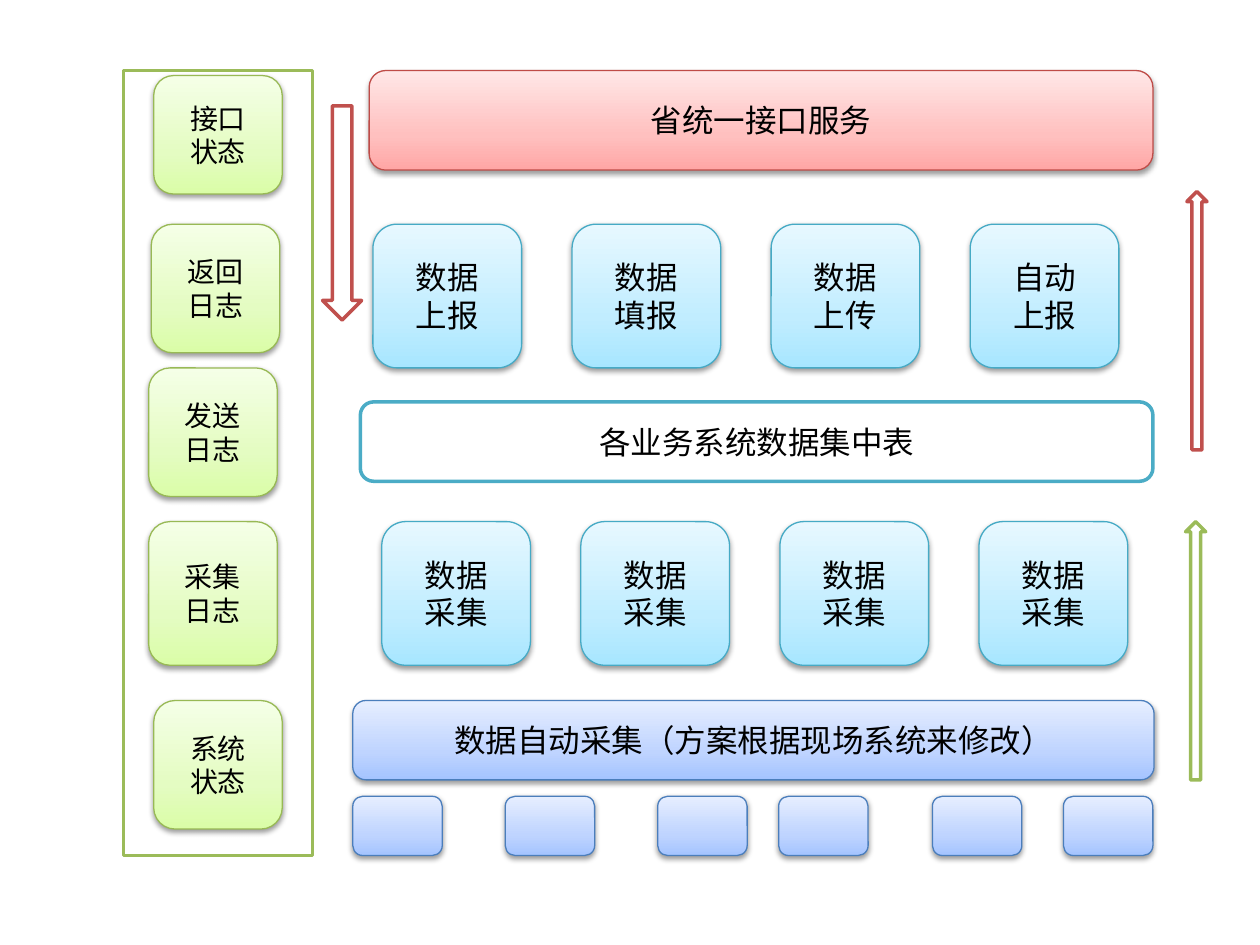
from dataclasses import dataclass
from pptx import Presentation
from pptx.dml.color import RGBColor
from pptx.enum.shapes import MSO_SHAPE
from pptx.enum.text import MSO_ANCHOR, PP_ALIGN
from pptx.oxml import parse_xml
from pptx.oxml.ns import nsdecls
from pptx.util import Inches, Pt


@dataclass(frozen=True)
class Theme:
    """Colours, type sizes and line widths; a tone is a line and three stops."""
    font: str = "Calibri"
    ink: str = "000000"
    paper: str = "FFFFFF"
    large: int = 18
    small: int = 16
    thin: float = 0.75
    thick: float = 2
    blue: tuple = ("4B7EBC", "A4C4FF", "BFD4FF", "E6EEFF")
    red: tuple = ("BF4C48", "FFA6A5", "FFC0BF", "FFE7E7")
    green: tuple = ("98B955", "DAFDA7", "E4FCC2", "F5FFE7")
    aqua: tuple = ("46AAC5", "A7E6FF", "C1EDFF", "E7F8FF")
    leaf: str = "9BBB59"
    brick: str = "C0504D"
    teal: str = "4BACC6"


theme = Theme()


def write(shape, text, size=theme.large, color=theme.ink, align=PP_ALIGN.CENTER):
    """Put text in a shape, one paragraph for each line."""
    frame = shape.text_frame
    frame.word_wrap = True
    frame.vertical_anchor = MSO_ANCHOR.MIDDLE
    frame.text = text
    for para in frame.paragraphs:
        para.alignment = align
        para.font.name = theme.font
        para.font.size = Pt(size)
        para.font.color.rgb = RGBColor.from_string(color)


def draw(slide, kind, box, color, width):
    """Add a shape with a coloured line and no shadow."""
    shape = slide.shapes.add_shape(kind, *(Inches(v) for v in box))
    shape.line.color.rgb = RGBColor.from_string(color)
    shape.line.width = Pt(width)
    shape.shadow.inherit = False
    return shape


def plain(slide, kind, box, color):
    """Add a white shape with a thick outline."""
    shape = draw(slide, kind, box, color, theme.thick)
    shape.fill.solid()
    shape.fill.fore_color.rgb = RGBColor.from_string(theme.paper)
    return shape


def card(slide, box, tone, text="", size=theme.large):
    """Add a rounded card with an upward gradient and a soft shadow."""
    line, *stops = tone
    shape = draw(slide, MSO_SHAPE.ROUNDED_RECTANGLE, box, line, theme.thin)
    marks = "".join(
        f'<a:gs pos="{pos * 1000}"><a:srgbClr val="{color}"/></a:gs>'
        for pos, color in zip((0, 35, 100), stops))
    props = shape.element.spPr
    props.insert(2, parse_xml(
        f'<a:gradFill {nsdecls("a")} rotWithShape="1"><a:gsLst>{marks}</a:gsLst>'
        '<a:lin ang="16200000" scaled="1"/></a:gradFill>'))
    props.effectLst.append(parse_xml(
        f'<a:outerShdw {nsdecls("a")} blurRad="{Pt(3.1)}" dist="{Pt(1.6)}" '
        'dir="5400000" rotWithShape="0"><a:srgbClr val="000000">'
        '<a:alpha val="38000"/></a:srgbClr></a:outerShdw>'))
    if text:
        write(shape, text, size)


def source(slide, box):
    """Draw the collection bar with its six source cards below."""
    left, top, width, height = box
    card(slide, (left, top, width, 0.63), theme.blue,
         "数据自动采集（方案根据现场系统来修改）")
    for step in (0, 1.21, 2.42, 3.38, 4.6, 5.64):
        card(slide, (left + step, top + height - 0.47, 0.71, 0.47), theme.blue)


def status(slide, box):
    """Draw the framed column of status and log cards."""
    left, top, _, _ = box
    plain(slide, MSO_SHAPE.RECTANGLE, box, theme.leaf)
    for dx, dy, high, text in (
            (0.24, 0.04, 0.94, "接口\n状态"),
            (0.22, 1.22, 1.02, "返回\n日志"),
            (0.2, 2.36, 1.02, "发送\n日志"),
            (0.2, 3.58, 1.14, "采集\n日志"),
            (0.24, 5, 1.02, "系统\n状态")):
        card(slide, (left + dx, top + dy, 1.02, high), theme.green,
             text, theme.small)


def row(slide, box, texts):
    """Spread equal cards over the width of the box."""
    left, top, width, height = box
    wide = 1.18
    step = (width - wide) / (len(texts) - 1)
    for i, text in enumerate(texts):
        card(slide, (left + i * step, top, wide, height), theme.aqua, text)


def flow(slide):
    """Draw the block arrows beside the layers."""
    for kind, box, color in (
            (MSO_SHAPE.UP_ARROW, (9.41, 4.14, 0.16, 2.05), theme.leaf),
            (MSO_SHAPE.UP_ARROW, (9.42, 1.52, 0.16, 2.05), theme.brick),
            (MSO_SHAPE.DOWN_ARROW, (2.56, 0.84, 0.31, 1.7), theme.brick)):
        plain(slide, kind, box, color)


def main():
    """Build the slide and save it."""
    deck = Presentation()
    deck.slide_width, deck.slide_height = Inches(10), Inches(7.5)
    slide = deck.slides.add_slide(deck.slide_layouts[6])
    source(slide, (2.8, 5.56, 6.36, 1.23))
    card(slide, (2.93, 0.56, 6.22, 0.79), theme.red, "省统一接口服务")
    status(slide, (0.98, 0.56, 1.5, 6.23))
    row(slide, (3.03, 4.14, 5.92, 1.14), ["数据\n采集"] * 4)
    table = plain(slide, MSO_SHAPE.ROUNDED_RECTANGLE,
                  (2.86, 3.19, 6.29, 0.63), theme.teal)
    write(table, "各业务系统数据集中表")
    row(slide, (2.96, 1.78, 5.92, 1.14),
        ["数据\n上报", "数据\n填报", "数据\n上传", "自动\n上报"])
    flow(slide)
    deck.save("out.pptx")


main()
